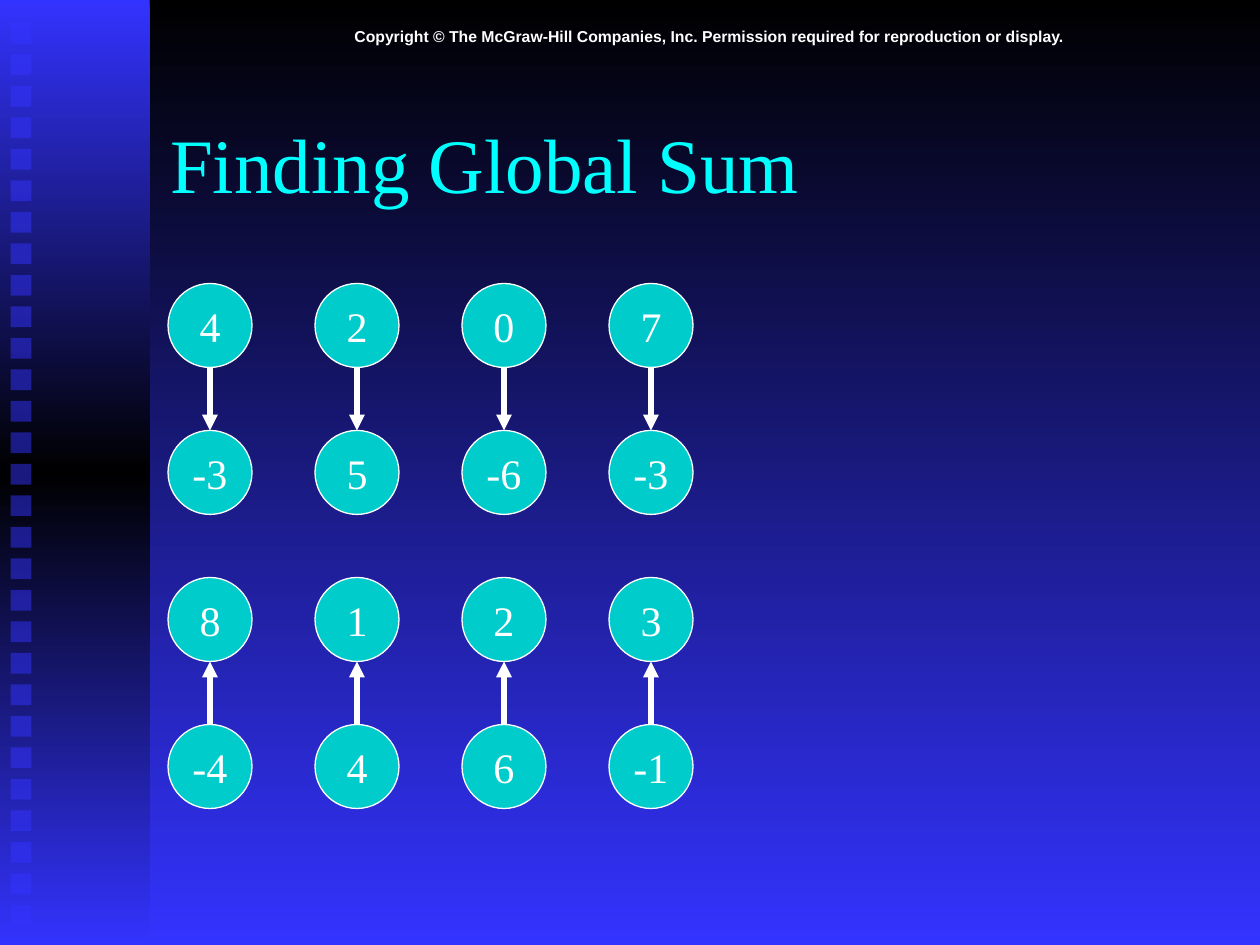
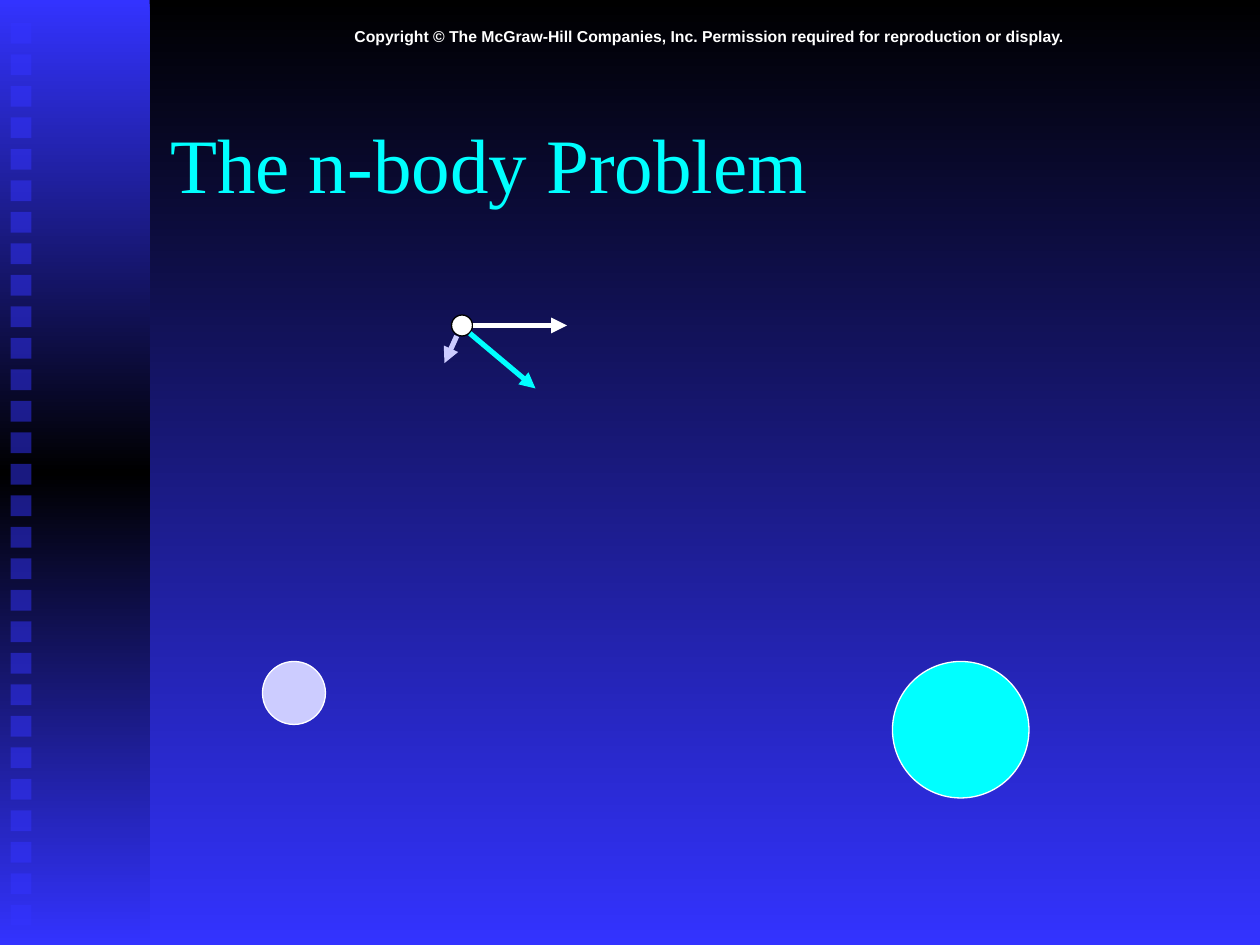
from dataclasses import dataclass
from itertools import product
from typing import NamedTuple, Optional

from lxml.etree import SubElement
from pptx import Presentation
from pptx.dml.color import RGBColor
from pptx.enum.shapes import MSO_CONNECTOR, MSO_SHAPE
from pptx.enum.text import MSO_ANCHOR, PP_ALIGN
from pptx.oxml.ns import qn
from pptx.util import Pt


@dataclass(frozen=True)
class Theme:
    black: str = "000000"
    white: str = "FFFFFF"
    blue: str = "3333FF"
    cyan: str = "00FFFF"
    teal: str = "00CCCC"
    lavender: str = "CCCCFF"
    serif: str = "Times New Roman"
    sans: str = "Arial"
    title_size: float = 44
    number_size: float = 24
    notice_size: float = 9
    outline: float = 0.75
    arrow: float = 3


class Box(NamedTuple):
    left: float
    top: float
    width: float
    height: float

    def points(self) -> tuple:
        return tuple(Pt(length) for length in self)


class Body(NamedTuple):
    left: float
    top: float
    diameter: float
    fill: str
    outline: str


class Arrow(NamedTuple):
    start: tuple[float, float]
    end: tuple[float, float]
    color: str


THEME = Theme()
PAGE_WIDTH, PAGE_HEIGHT = 720, 540
BAND = Box(0, 0, 85.5, PAGE_HEIGHT)
NOTICE = Box(90, 12, 630, 18)
TITLE = Box(90, 48, 612, 90)
NOTICE_TEXT = (
    "Copyright © The McGraw-Hill Companies, Inc. "
    "Permission required for reproduction or display."
)

SQUARE_COUNT, SQUARE_LEFT, SQUARE_TOP = 29, 6, 13
SQUARE_SIZE, SQUARE_PITCH = 12, 18

NODE_LEFT, NODE_TOP, NODE_SIZE, NODE_PITCH = 96, 162, 48, 84
NODE_VALUES = (
    ("4", "2", "0", "7"),
    ("-3", "5", "-6", "-3"),
    ("8", "1", "2", "3"),
    ("-4", "4", "6", "-1"),
)
SENDS = ((0, 1), (3, 2))  # sending row, receiving row

BODIES = (
    Body(150, 378, 36, THEME.lavender, THEME.white),
    Body(510, 378, 78, THEME.cyan, THEME.white),
    Body(258, 180, 12, THEME.white, THEME.black),
)
FORCES = (
    Arrow((270, 186), (324, 186), THEME.white),
    Arrow((268.5, 190.5), (306, 222), THEME.cyan),
    Arrow((261, 192), (254, 207.5), THEME.lavender),
)


def rgb(color: str) -> RGBColor:
    return RGBColor.from_string(color)


def fade_down(fill, owner, colors: tuple[str, ...]) -> None:
    """Fill from top to bottom with evenly spaced colours."""
    fill.gradient()
    fill.gradient_angle = 270
    stops = owner.xpath(".//a:gsLst")[0]
    for stop in list(stops):
        stops.remove(stop)
    for index, color in enumerate(colors):
        position = 100000 * index // (len(colors) - 1)
        stop = SubElement(stops, qn("a:gs"), pos=str(position))
        SubElement(stop, qn("a:srgbClr"), val=color)


def add_plain_shape(page, kind, box: Box, fill: Optional[str] = None,
                    outline: Optional[str] = None):
    shape = page.shapes.add_shape(kind, *box.points())
    shape.shadow.inherit = False
    if fill:
        shape.fill.solid()
        shape.fill.fore_color.rgb = rgb(fill)
    if outline:
        shape.line.color.rgb = rgb(outline)
        shape.line.width = Pt(THEME.outline)
    else:
        shape.line.fill.background()
    return shape


def write(frame, text: str, font: str, size: float, color: str,
          align: PP_ALIGN, bold: bool = False) -> None:
    frame.text = text
    para = frame.paragraphs[0]
    para.alignment = align
    para.font.name = font
    para.font.size = Pt(size)
    para.font.bold = bold
    para.font.color.rgb = rgb(color)


def add_arrow(page, arrow: Arrow) -> None:
    ends = [Pt(length) for length in (*arrow.start, *arrow.end)]
    connector = page.shapes.add_connector(MSO_CONNECTOR.STRAIGHT, *ends)
    connector.line.color.rgb = rgb(arrow.color)
    connector.line.width = Pt(THEME.arrow)
    properties = connector.element.spPr
    SubElement(properties.find(qn("a:ln")), qn("a:tailEnd"), type="triangle")
    SubElement(properties, qn("a:effectLst"))


def dress_layout(layout, page) -> None:
    """Draw the shared band, squares and notice, then move them to the layout."""
    fade_down(layout.background.fill, layout.element, (THEME.black, THEME.blue))

    band = add_plain_shape(page, MSO_SHAPE.RECTANGLE, BAND)
    fade_down(band.fill, band.element, (THEME.blue, THEME.black, THEME.blue))
    shared = [band]

    for index in range(SQUARE_COUNT):
        top = SQUARE_TOP + index * SQUARE_PITCH
        box = Box(SQUARE_LEFT, top, SQUARE_SIZE, SQUARE_SIZE)
        square = add_plain_shape(page, MSO_SHAPE.RECTANGLE, box, THEME.blue)
        color = square.element.spPr.find(qn("a:solidFill"))[0]
        SubElement(color, qn("a:alpha"), val="50000")
        shared.append(square)

    notice = page.shapes.add_textbox(*NOTICE.points())
    notice.text_frame.word_wrap = True
    write(notice.text_frame, NOTICE_TEXT, THEME.sans, THEME.notice_size,
          THEME.white, PP_ALIGN.CENTER, bold=True)
    shared.append(notice)

    for shape in shared:
        layout.shapes.element.append(shape.element)


def add_page(deck, layout, title: str):
    page = deck.slides.add_slide(layout)
    heading = page.shapes.title
    heading.left, heading.top, heading.width, heading.height = TITLE.points()
    heading.text_frame.vertical_anchor = MSO_ANCHOR.MIDDLE
    write(heading.text_frame, title, THEME.serif, THEME.title_size,
          THEME.cyan, PP_ALIGN.LEFT)
    return page


def draw_global_sum(page) -> None:
    columns = range(len(NODE_VALUES[0]))
    for row, column in product(range(len(NODE_VALUES)), columns):
        box = Box(NODE_LEFT + column * NODE_PITCH, NODE_TOP + row * NODE_PITCH,
                  NODE_SIZE, NODE_SIZE)
        node = add_plain_shape(page, MSO_SHAPE.OVAL, box, THEME.teal, THEME.white)
        frame = node.text_frame
        frame.word_wrap = False
        frame.vertical_anchor = MSO_ANCHOR.MIDDLE
        write(frame, NODE_VALUES[row][column], THEME.serif, THEME.number_size,
              THEME.white, PP_ALIGN.CENTER)

    for (sender, receiver), column in product(SENDS, columns):
        center = NODE_LEFT + column * NODE_PITCH + NODE_SIZE / 2
        upper_edge = NODE_TOP + min(sender, receiver) * NODE_PITCH + NODE_SIZE
        lower_edge = NODE_TOP + max(sender, receiver) * NODE_PITCH
        start, end = (center, upper_edge), (center, lower_edge)
        if sender > receiver:
            start, end = end, start
        add_arrow(page, Arrow(start, end, THEME.white))


def draw_bodies(page) -> None:
    for body in BODIES:
        box = Box(body.left, body.top, body.diameter, body.diameter)
        add_plain_shape(page, MSO_SHAPE.OVAL, box, body.fill, body.outline)
    for force in FORCES:
        add_arrow(page, force)


def main() -> None:
    deck = Presentation()
    deck.slide_width, deck.slide_height = Pt(PAGE_WIDTH), Pt(PAGE_HEIGHT)
    layout = deck.slide_layouts.get_by_name("Title Only")

    sum_page = add_page(deck, layout, "Finding Global Sum")
    dress_layout(layout, sum_page)
    draw_global_sum(sum_page)

    draw_bodies(add_page(deck, layout, "The n-body Problem"))
    deck.save("out.pptx")


if __name__ == "__main__":
    main()
